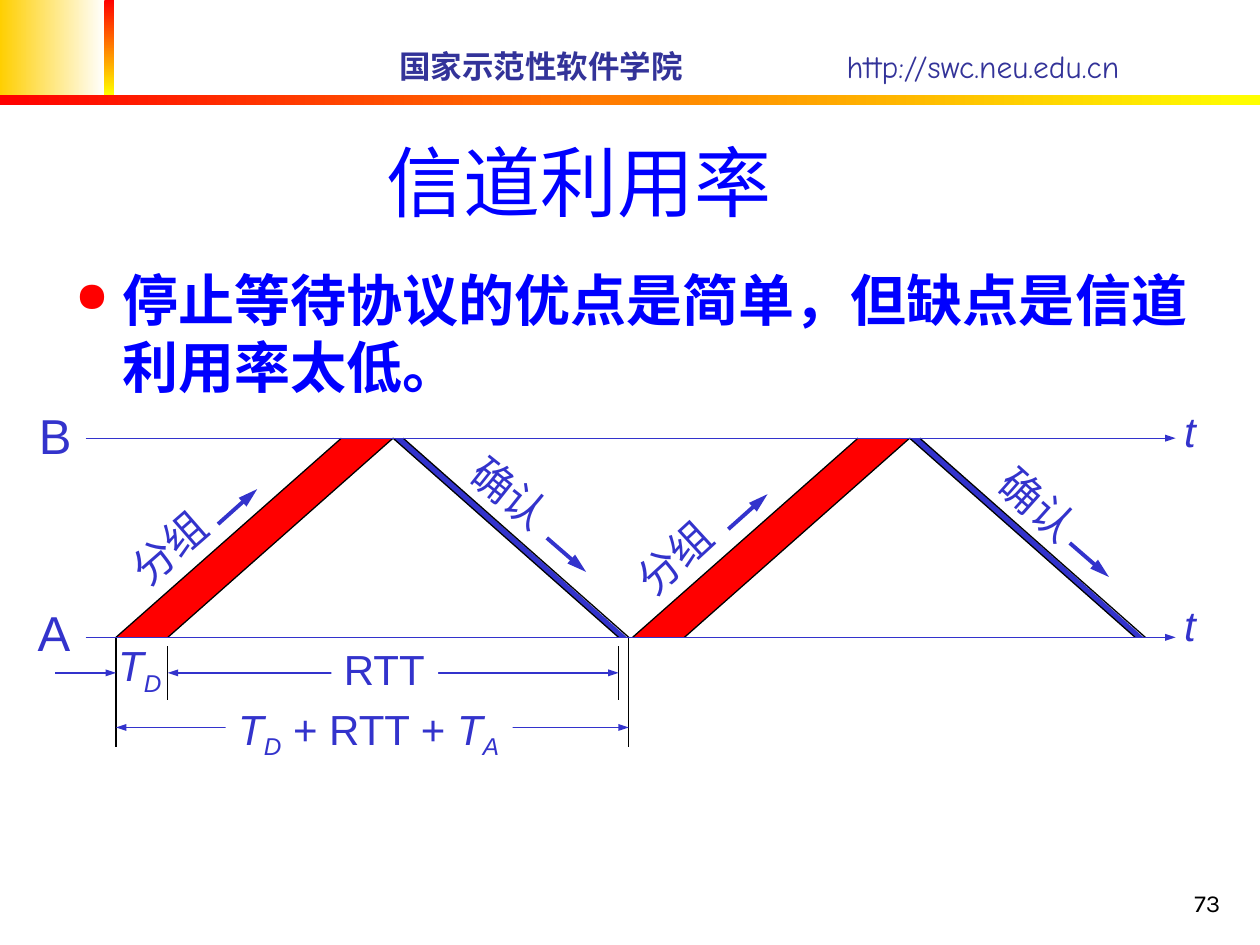
from lxml import etree
from pptx import Presentation
from pptx.dml.color import RGBColor
from pptx.enum.shapes import MSO_CONNECTOR, MSO_SHAPE
from pptx.enum.text import MSO_ANCHOR, PP_ALIGN
from pptx.oxml.ns import qn
from pptx.util import Pt

RECT = MSO_SHAPE.RECTANGLE
LINE = MSO_CONNECTOR.STRAIGHT
TOP, MID, LOW = MSO_ANCHOR.TOP, MSO_ANCHOR.MIDDLE, MSO_ANCHOR.BOTTOM
LEFT, MIDST, RIGHT = PP_ALIGN.LEFT, PP_ALIGN.CENTER, PP_ALIGN.RIGHT
HEX = {"gold": "FFCF01", "white": "FFFFFF", "red": "FF0000", "yellow": "FFFF00",
       "navy": "333399", "blue": "0000FF", "ink": "3333CC", "black": "000000"}
RGB = {name: RGBColor.from_string(code) for name, code in HEX.items()}

deck = Presentation()
deck.slide_width, deck.slide_height = Pt(720), Pt(540)
slide = deck.slides.add_slide(deck.slide_layouts[6])
shapes = slide.shapes


def write(box, runs, size, color="ink", font="Arial", wrap=False,
          anchor=TOP, align=LEFT, turn=0, back=None):
    """Add a text box; each run is a pair of text and marks: b, i, s (subscript)."""
    shape = shapes.add_textbox(*map(Pt, box))
    shape.rotation = turn
    if back:
        shape.fill.solid()
        shape.fill.fore_color.rgb = RGB[back]
    frame = shape.text_frame
    frame.word_wrap, frame.vertical_anchor = wrap, anchor
    para = frame.paragraphs[0]
    para.alignment = align
    for text, marks in runs:
        run = para.add_run()
        run.text = text
        form = {"name": font, "size": Pt(size), "bold": "b" in marks, "italic": "i" in marks}
        for key, value in form.items():
            setattr(run.font, key, value)
        run.font.color.rgb = RGB[color]
        if "s" in marks:
            run._r.get_or_add_rPr().set("baseline", "-25000")
    return para


def rule(x1, y1, x2, y2, color="ink", width=0.75, ends=(), head=("sm", "med")):
    """Draw a straight line, with arrowheads of a width and length at the named ends."""
    conn = shapes.add_connector(LINE, Pt(x1), Pt(y1), Pt(x2), Pt(y2))
    conn.line.color.rgb = RGB[color]
    conn.line.width = Pt(width)
    edge = conn.line._get_or_add_ln()
    for end in ends:
        etree.SubElement(edge, qn(f"a:{end}"), type="triangle", w=head[0], len=head[1])
    etree.SubElement(conn._element.spPr, qn("a:effectLst"))


ONE, BOTH = ("tailEnd",), ("headEnd", "tailEnd")

# Gradient bars of the header
for box, pair, angle in [
    ((0, 0, 60, 54.5), ("gold", "white"), 0),
    ((59.6, 0, 5.6, 54.5), ("red", "yellow"), 270),
    ((0, 54.5, 720, 5.6), ("red", "yellow"), 0),
]:
    bar = shapes.add_shape(RECT, *map(Pt, box))
    bar.shadow.inherit = False
    bar.line.fill.background()
    bar.fill.gradient()
    bar.fill.gradient_angle = angle
    for stop, name, spot in zip(bar.fill.gradient_stops, pair, (0, 1)):
        stop.color.rgb = RGB[name]
        stop.position = spot

# Header, title and page number
write((221, 23, 200, 29), [("国家示范性软件学院", "b")], 18, "navy", "Comic Neue", anchor=MID)
write((476.8, 23, 180, 29), [("http://swc.neu.edu.cn", "")], 18, "navy", "Comic Neue", anchor=MID)
write((12.7, 18, 637, 115), [("信道利用率", "")], 44, "blue", "Karla", True, LOW, MIDST)
write((554.4, 492, 150, 36), [("73", "")], 14, "black", "Karla", True, LOW, RIGHT)

# Bullet point
para = write((36, 148.3, 666, 111), [("停止等待协议的优点是简单，但缺点是信道利用率太低。", "b")],
             32, "blue", "Karla", True)
props = para._p.get_or_add_pPr()
props.set("marL", str(Pt(27)))
props.set("indent", str(Pt(-27)))
tint = etree.SubElement(props, qn("a:buClr"))
etree.SubElement(tint, qn("a:srgbClr"), val=HEX["red"])
etree.SubElement(props, qn("a:buSzPct"), val="75000")
etree.SubElement(props, qn("a:buChar"), char="●")

# Time levels of B and A, and the key moments of one cycle
HIGH, BASE, STEP = 250.4, 364.2, 295.2
SEND, SENT, BACK, DONE = 66.3, 95.9, 353.5, 359.3
ARRIVE, REPLY, ACKED = 195.1, 224.6, 230.4

# Dimension marks below A
write((60.5, 362, 39, 40), [("T", "i"), ("D", "is")], 24)
for x, top, end in [(SEND, BASE, 427), (DONE, BASE, 427), (SENT, 369.4, 400.3), (BACK, 369.4, 400.3)]:
    rule(x, top, x, end, "black")
rule(31.5, 384.5, SEND, 384.5, ends=ONE)
rule(SENT, 384.5, BACK, 384.5, ends=BOTH)
rule(SEND, 415.7, DONE, 415.7, ends=BOTH)
write((189.4, 364.3, 61, 36), [("RTT", "")], 24, back="white")
write((129, 398.2, 164, 40),
      [("T", "i"), ("D", "is"), (" + RTT + ", ""), ("T", "i"), ("A", "is")], 24, back="white")

# Two cycles of packet and acknowledgement
for turn in range(2):
    move = turn * STEP
    for color, quad in [("ink", (REPLY, BACK, DONE - 1, ACKED)),
                        ("red", (SEND, ARRIVE, REPLY, SENT))]:
        levels = (HIGH, BASE, BASE, HIGH) if color == "ink" else (BASE, HIGH, HIGH, BASE)
        spots = [(Pt(x + move), Pt(y)) for x, y in zip(quad, levels)]
        path = shapes.build_freeform(*spots[0])
        path.add_line_segments(spots[1:], close=True)
        band = path.convert_to_shape()
        band.shadow.inherit = False
        band.line.fill.background()
        band.fill.solid()
        band.fill.fore_color.rgb = RGB[color]
    for low, high in [(SEND, ARRIVE), (SENT, REPLY), (BACK, REPLY), (DONE, ACKED)]:
        rule(low + move, BASE, high + move, HIGH, "black")

# Slanted labels and their arrows
for text, x, y, angle, start, rise in [
    ("分组", 56.5, 294.5, 318.9, (124.6, 299.5), -20),
    ("确认", 251.6, 263.5, 38.5, (312.5, 307.4), 19.4),
    ("分组", 345.2, 300.2, 317.4, (416.2, 302.4), -20),
    ("确认", 553.3, 270, 41.8, (611.3, 310.3), 19.4),
]:
    write((x, y, 80, 36), [(text, "")], 24, align=MIDST, turn=angle)
    rule(*start, start[0] + 22.4, start[1] + rise, width=2.25, ends=ONE, head=("med", "lg"))

# Time axes
for name, left, top, level, mark in [("B", 15.1, 228.2, HIGH, 228.2), ("A", 14.4, 340.6, BASE, 339.1)]:
    write((left, top, 33, 41), [(name, "")], 28)
    write((669.6, mark, 21, 36), [("t", "i")], 24)
    rule(49, level, 671.8, level, ends=ONE)

deck.save("out.pptx")
